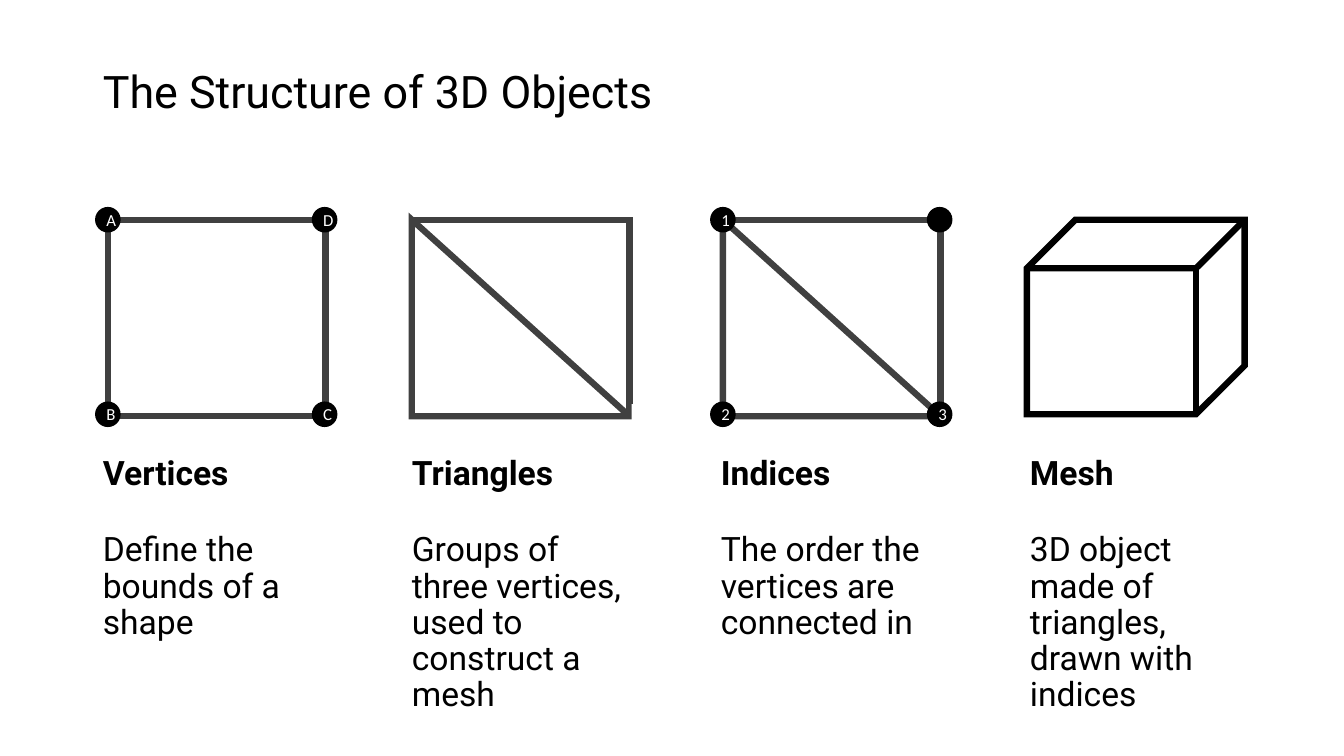
from dataclasses import dataclass

from lxml.etree import SubElement
from pptx import Presentation
from pptx.dml.color import RGBColor
from pptx.enum.shapes import MSO_SHAPE as Preset
from pptx.enum.text import MSO_ANCHOR as Anchor, MSO_AUTO_SIZE as AutoSize, PP_ALIGN as Align
from pptx.oxml.ns import qn
from pptx.util import Inches, Pt


@dataclass(frozen=True)
class Theme:
    ink: RGBColor = RGBColor(0, 0, 0)
    edge: RGBColor = RGBColor(0x40, 0x40, 0x40)
    paper: RGBColor = RGBColor(255, 255, 255)
    font: str = "Roboto"
    label_font: str = "Calibri"
    title_size: int = 32
    body_size: int = 24
    label_size: int = 12
    edge_width: float = 4.5


THEME = Theme()
COLUMN_LEFT, COLUMN_PITCH = 0.92, 3.065
CAPTION_TOP, CAPTION_WIDTH, CAPTION_HEIGHT = 4.48, 2.3, 2.32
FIGURE_TOP, FIGURE_WIDTH, FIGURE_HEIGHT = 2.18, 2.16, 1.95
DOT = 0.24


def place(shape, left, top, width, height):
    shape.left, shape.top = Inches(left), Inches(top)
    shape.width, shape.height = Inches(width), Inches(height)


def add_span(para, text, size, color, font, bold=False):
    span = para.add_run()
    span.text = text
    span.font.name, span.font.size, span.font.bold = font, Pt(size), bold
    span.font.color.rgb = color


def add_preset(shapes, preset, left, top, width, height):
    shape = shapes.add_shape(preset, Inches(left), Inches(top), Inches(width), Inches(height))
    shape.shadow.inherit = False
    return shape


def add_outline(shapes, preset, left, top, height=FIGURE_HEIGHT, color=THEME.edge):
    """Draw an unfilled preset with thick, sharp-cornered edges."""
    shape = add_preset(shapes, preset, left, top, FIGURE_WIDTH, height)
    shape.fill.background()
    shape.line.color.rgb = color
    shape.line.width = Pt(THEME.edge_width)
    line = shape.element.spPr.find(qn("a:ln"))
    SubElement(line, qn("a:miter")).set("lim", "800000")
    return shape


def add_triangle(shapes, left, top):
    add_outline(shapes, Preset.ISOSCELES_TRIANGLE, left, top).adjustments[0] = 0


def add_mask(shapes, left, top):
    """Trim the sharp tip of a triangle's edge."""
    mask = add_preset(shapes, Preset.RECTANGLE, left, top, DOT, DOT)
    mask.fill.solid()
    mask.fill.fore_color.rgb = THEME.paper
    mask.line.fill.background()


def add_corner_dots(shapes, left, top, labels):
    for row, pair in enumerate(labels):
        for column, label in enumerate(pair):
            dot = add_preset(shapes, Preset.OVAL, left - DOT / 2 + column * 2.15,
                             top - DOT / 2 + row * 1.93, DOT, DOT)
            dot.fill.solid()
            dot.fill.fore_color.rgb = dot.line.color.rgb = THEME.ink
            dot.line.width = Pt(1)
            if label:
                dot.text_frame.vertical_anchor = Anchor.MIDDLE
                para = dot.text_frame.paragraphs[0]
                para.alignment = Align.CENTER
                add_span(para, label, THEME.label_size, THEME.paper, THEME.label_font)


def draw_vertices(page, left, top):
    shapes = page.shapes.add_group_shape().shapes
    add_outline(shapes, Preset.RECTANGLE, left + 0.15, top)
    add_corner_dots(shapes, left + 0.15, top, [("A", "D"), ("B", "C")])


def draw_triangles(page, left, top):
    shapes = page.shapes.add_group_shape().shapes
    add_outline(shapes, Preset.RECTANGLE, left + 0.1, top)
    add_triangle(shapes, left + 0.1, top)
    add_mask(shapes, left + 2.28, top + 1.83)


def draw_indices(page, left, top):
    shapes = page.shapes.add_group_shape().shapes
    add_outline(shapes, Preset.RECTANGLE, left + 0.12, top)
    add_triangle(shapes, left + 0.12, top)
    add_mask(shapes, left - 0.03, top - 0.27)
    add_mask(shapes, left + 2.3, top + 1.83)
    add_corner_dots(shapes, left + 0.12, top, [("1", ""), ("2", "3")])


def draw_mesh(page, left, top):
    add_outline(page.shapes, Preset.CUBE, left + 0.07, top, 1.93, THEME.ink)


def fill_title(title, text):
    place(title, 0.92, 0.4, 11.5, 1.06)
    frame = title.text_frame
    frame.auto_size, frame.vertical_anchor = AutoSize.NONE, Anchor.MIDDLE
    para = frame.paragraphs[0]
    para.alignment, para.line_spacing = Align.LEFT, 0.9
    add_span(para, text, THEME.title_size, THEME.ink, THEME.font)


def fill_caption(body, left, top, heading, text):
    place(body, left, top, CAPTION_WIDTH, CAPTION_HEIGHT)
    frame = body.text_frame
    frame.auto_size, frame.vertical_anchor = AutoSize.NONE, Anchor.TOP
    frame.word_wrap = True
    lines = [(frame.paragraphs[0], heading, True, 0), (frame.add_paragraph(), text, False, 28.5)]
    for para, words, bold, gap in lines:
        para.alignment, para.line_spacing, para.space_before = Align.LEFT, 0.9, Pt(gap)
        properties = para._p.get_or_add_pPr()
        properties.set("marL", "0")
        properties.set("indent", "0")
        SubElement(properties, qn("a:buNone"))
        add_span(para, words, THEME.body_size, THEME.ink, THEME.font, bold)


COLUMNS = [
    (draw_vertices, "Vertices", "Define the bounds of a shape"),
    (draw_triangles, "Triangles", "Groups of three vertices, used to construct a mesh"),
    (draw_indices, "Indices", "The order the vertices are connected in"),
    (draw_mesh, "Mesh", "3D object made of triangles, drawn with indices"),
]


def build_structure_slide(deck):
    page = deck.slides.add_slide(deck.slide_layouts.get_by_name("Comparison"))
    page.background.fill.solid()
    page.background.fill.fore_color.rgb = THEME.paper
    title, *bodies = page.placeholders
    fill_title(title, "The Structure of 3D Objects")
    for index, (body, (draw_figure, heading, text)) in enumerate(zip(bodies, COLUMNS)):
        left = COLUMN_LEFT + index * COLUMN_PITCH
        draw_figure(page, left, FIGURE_TOP)
        fill_caption(body, left, CAPTION_TOP, heading, text)


def main():
    deck = Presentation()
    deck.slide_width, deck.slide_height = Inches(13.33), Inches(7.5)
    build_structure_slide(deck)
    deck.save("out.pptx")


if __name__ == "__main__":
    main()
